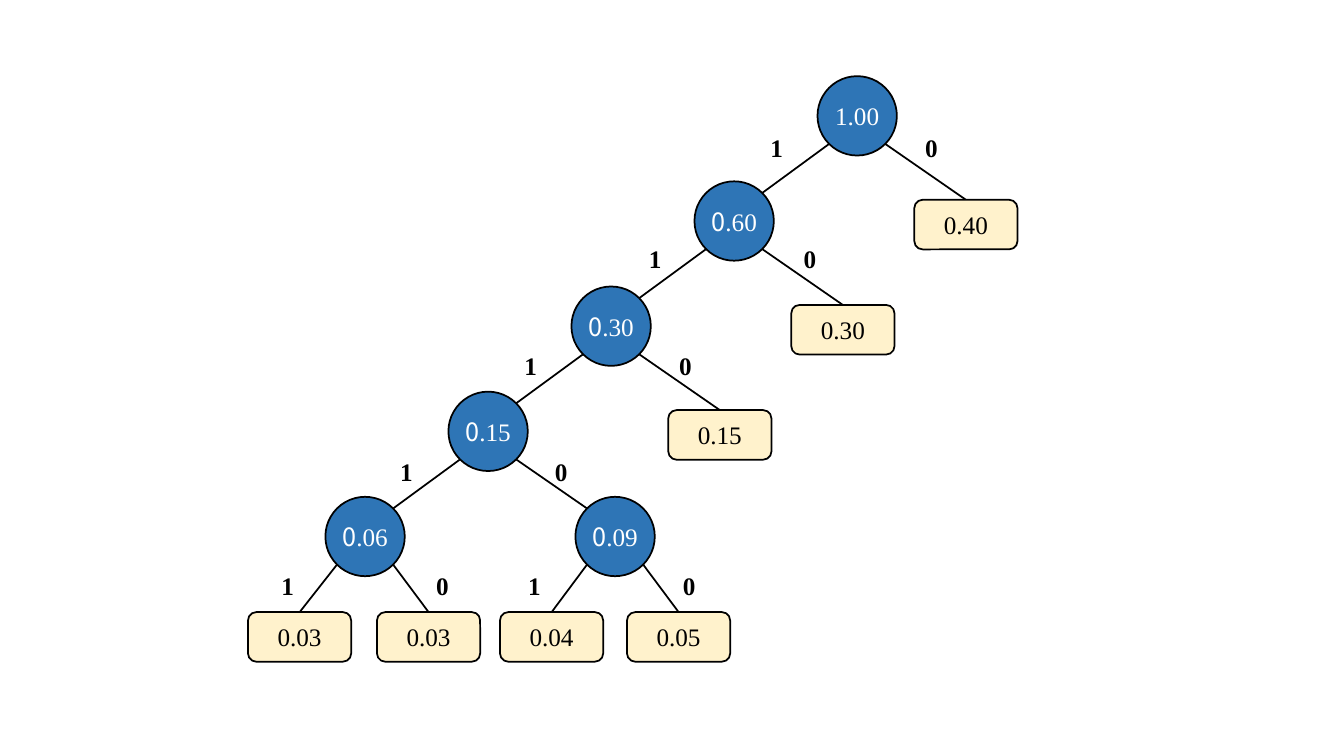
from dataclasses import dataclass
from math import sqrt
from typing import Optional

from lxml import etree
from pptx import Presentation
from pptx import util as u
from pptx.dml.color import RGBColor
from pptx.enum import shapes, text
from pptx.oxml.ns import qn

COLORS = {"inner": "2E75B6", "leaf": "FFF2CC", "ink": "000000", "light": "FFFFFF"}
SERIF, SANS = "Times New Roman", "Noto Sans CJK SC"

# Lengths in centimetres
RADIUS = 1.0
DIAGONAL = RADIUS / sqrt(2)
LEAF_W, BOX_H, LABEL_W = 2.6, 1.25, 1.42
LABEL_GAP = 3.9
ROOT = (21.6, 2.92)
INNER_STEP = (-3.1, 2.65)
LEAF_STEP = (2.74, 2.74)
BOTTOM_DROP = 2.53


@dataclass
class Node:
    """A tree node: its runs, its offset from the parent, its bit labels' offset and its children."""
    runs: list
    step: tuple = (0, 0)
    bits_at: tuple = (0, 0)
    one: Optional["Node"] = None
    zero: Optional["Node"] = None


class Deck:
    """Holds the style and the current slide."""

    def __init__(self):
        """Start a wide presentation with one blank slide."""
        self.prs = Presentation()
        self.prs.slide_width, self.prs.slide_height = u.Inches(13.333), u.Inches(7.5)
        self.s = self.prs.slides.add_slide(self.prs.slide_layouts[6])
        self.size, self.weight = u.Pt(18), u.Pt(1.25)

    def color(self, name):
        """Return a named colour."""
        return RGBColor.from_string(COLORS[name])

    def frame(self, x, y, w, h):
        """Return left, top, width and height of a box centred at x, y."""
        return [u.Cm(v) for v in (x - w / 2, y - h / 2, w, h)]

    def add_text(self, sp, runs, color, bold=False):
        """Put centred (wording, font) runs into a shape."""
        tf = sp.text_frame
        tf.word_wrap = True
        tf.vertical_anchor = text.MSO_ANCHOR.MIDDLE
        tf.margin_left = tf.margin_right = tf.margin_top = tf.margin_bottom = 0
        p = tf.paragraphs[0]
        p.alignment = text.PP_ALIGN.CENTER
        for wording, font in runs:
            r = p.add_run()
            r.text = wording
            r.font.name, r.font.size, r.font.bold = font, self.size, bold
            r.font.color.rgb = self.color(color)

    def shape(self, kind, frame, fill, runs, color):
        """Add a filled, outlined shape with text."""
        sp = self.s.shapes.add_shape(kind, *frame)
        sp.shadow.inherit = False
        sp.fill.solid()
        sp.fill.fore_color.rgb = self.color(fill)
        sp.line.color.rgb = self.color("ink")
        sp.line.width = self.weight
        self.add_text(sp, runs, color)

    def circle(self, x, y, runs):
        """Add an inner node."""
        frame = self.frame(x, y, 2 * RADIUS, 2 * RADIUS)
        self.shape(shapes.MSO_SHAPE.OVAL, frame, "inner", runs, "light")

    def leaf(self, x, y, runs):
        """Add a leaf node."""
        frame = self.frame(x, y, LEAF_W, BOX_H)
        self.shape(shapes.MSO_SHAPE.ROUNDED_RECTANGLE, frame, "leaf", runs, "ink")

    def bit(self, x, y, digit):
        """Add the bold code bit of an edge."""
        sp = self.s.shapes.add_textbox(*self.frame(x, y, LABEL_W, BOX_H))
        self.add_text(sp, [(digit, SERIF)], "ink", bold=True)

    def edge(self, *ends):
        """Add a straight line given x1, y1, x2, y2."""
        sp = self.s.shapes.add_connector(shapes.MSO_CONNECTOR.STRAIGHT, *map(u.Cm, ends))
        sp.line.color.rgb = self.color("ink")
        sp.line.width = self.weight
        etree.SubElement(sp._element.spPr, qn("a:effectLst"))

    def tree(self, node, x, y):
        """Draw a node at x, y and everything below it."""
        if node.one is None:
            self.leaf(x, y, node.runs)
            return
        self.circle(x, y, node.runs)
        shift, drop = node.bits_at
        for side, digit, child in ((-1, "1", node.one), (1, "0", node.zero)):
            cx, cy = x + child.step[0], y + child.step[1]
            end = (cx, cy - BOX_H / 2)
            if child.one:
                end = (cx - side * DIAGONAL, cy - DIAGONAL)
            self.edge(x + side * DIAGONAL, y + DIAGONAL, *end)
            self.bit(x + shift + side * LABEL_GAP / 2, y + drop, digit)
            self.tree(child, cx, cy)


def leaf(value, step=LEAF_STEP):
    """Return a leaf node."""
    return Node([(value, SERIF)], step)


def inner(value, bits_at, one, zero, step=INNER_STEP):
    """Return an inner node whose leading zero is in the sans font."""
    return Node([(value[0], SANS), (value[1:], SERIF)], step, bits_at, one, zero)


n06 = inner("0.06", (0, 1.24), leaf("0.03", (-1.65, BOTTOM_DROP)), leaf("0.03", (1.6, BOTTOM_DROP)))
n09 = inner("0.09", (-0.08, 1.24), leaf("0.04", (-1.6, BOTTOM_DROP)),
            leaf("0.05", (1.6, BOTTOM_DROP)), step=(3.2, 2.65))
n15 = inner("0.15", (-0.11, 1.02), n06, n09)
n30 = inner("0.30", (-0.08, 0.99), n15, leaf("0.15"))
n60 = inner("0.60", (-0.04, 0.94), n30, leaf("0.30"))
root = Node([("1.00", SERIF)], bits_at=(-0.08, 0.79), one=n60, zero=leaf("0.40"))

deck = Deck()
deck.tree(root, *ROOT)
deck.prs.save("out.pptx")
